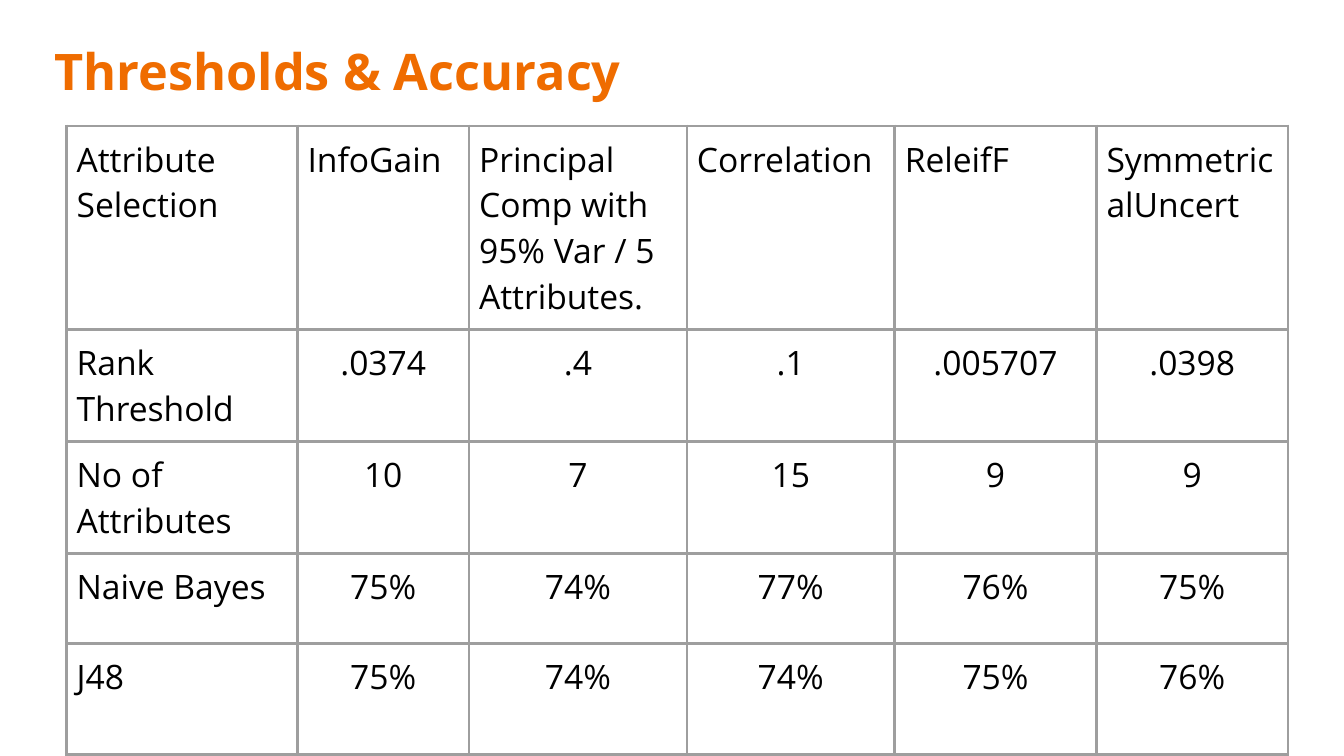
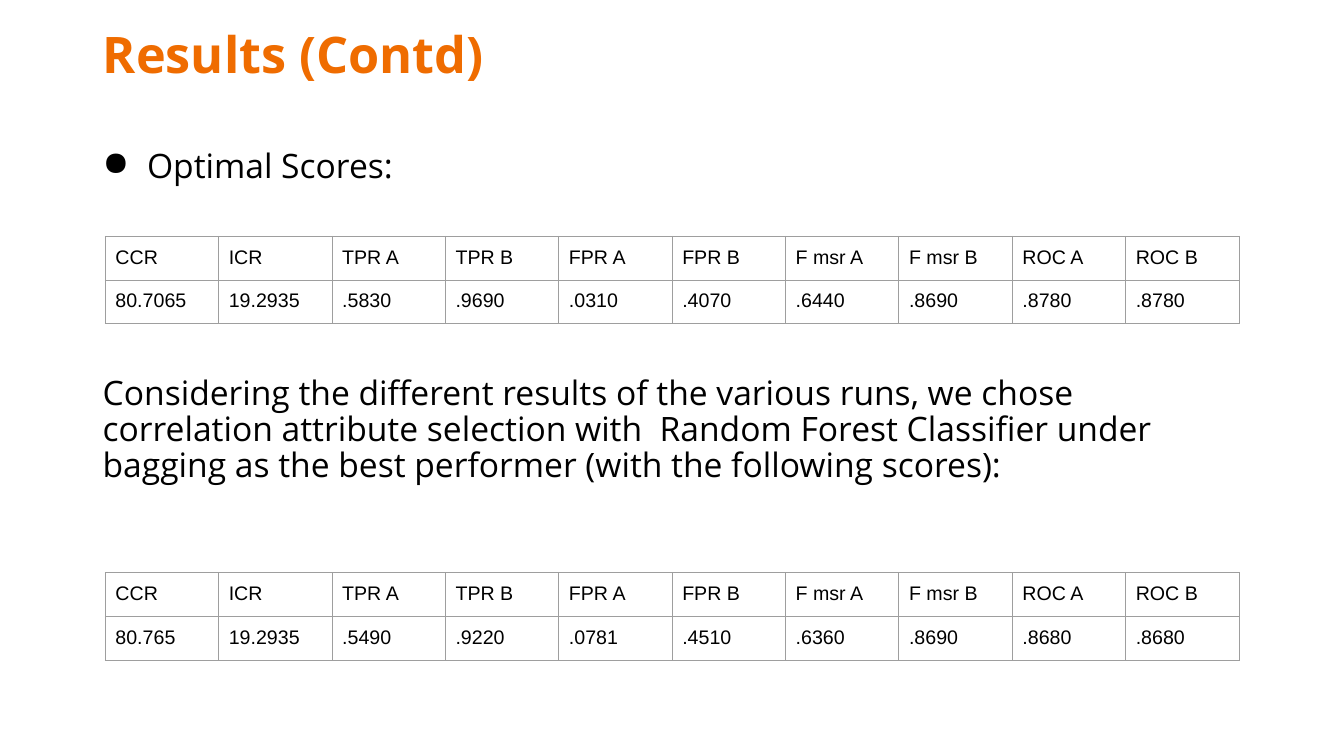
from dataclasses import dataclass

from lxml.etree import SubElement
from pptx import Presentation
from pptx.dml.color import RGBColor
from pptx.enum.text import MSO_ANCHOR, MSO_AUTO_SIZE, PP_ALIGN
from pptx.oxml.ns import qn
from pptx.util import Inches, Pt

SLIDE_WIDTH = Inches(13.33)
SLIDE_HEIGHT = Inches(7.5)
TITLE_ONLY = 5


@dataclass(frozen=True)
class Theme:
    accent: str = "EF6C00"
    ink: str = "000000"
    rule: str = "9E9E9E"
    text_font: str = "Open Sans"
    data_font: str = "Arial"
    title_size: int = 36
    body_size: int = 24
    data_size: int = 14
    cell_inset: float = 0.1
    bullet_indent: float = 0.44


THEME = Theme()
TITLE = {"name": THEME.text_font, "size": Pt(THEME.title_size), "bold": True}
BODY = {"name": THEME.text_font, "size": Pt(THEME.body_size), "bold": False}
DATA = {"name": THEME.data_font, "size": Pt(THEME.data_size), "bold": False}

ACCURACY = [
    ["Attribute Selection", "InfoGain", "Principal Comp with 95% Var / 5 Attributes.",
     "Correlation", "ReleifF", "SymmetricalUncert"],
    ["Rank Threshold", ".0374", ".4", ".1", ".005707", ".0398"],
    ["No of Attributes", "10", "7", "15", "9", "9"],
    ["Naive Bayes", "75%", "74%", "77%", "76%", "75%"],
    ["J48", "75%", "74%", "74%", "75%", "76%"],
]
ACCURACY_COLUMNS = [2.29, 1.7, 2.16, 2.06, 2, 1.9]
ACCURACY_ROWS = [2.02, 1.11, 1.11, 0.89, 1.1]

MEASURES = ["CCR", "ICR", "TPR A", "TPR B", "FPR A", "FPR B",
            "F msr A", "F msr B", "ROC A", "ROC B"]
OPTIMAL_SCORES = ["80.7065", "19.2935", ".5830", ".9690", ".0310", ".4070",
                  ".6440", ".8690", ".8780", ".8780"]
CHOSEN_SCORES = ["80.765", "19.2935", ".5490", ".9220", ".0781", ".4510",
                 ".6360", ".8690", ".8680", ".8680"]
CONCLUSION = (
    "Considering the different results of the various runs, we chose correlation "
    "attribute selection with  Random Forest Classifier under bagging as the best "
    "performer (with the following scores):"
)


def assign(target, values):
    for attribute, value in values.items():
        setattr(target, attribute, value)


def area(left, top, width, height):
    return (round(SLIDE_WIDTH * left / 100), round(SLIDE_HEIGHT * top / 100),
            round(SLIDE_WIDTH * width / 100), round(SLIDE_HEIGHT * height / 100))


def write(frame, text, style, color, align=PP_ALIGN.LEFT, spacing=None):
    paragraph = frame.paragraphs[0]
    assign(paragraph, {"alignment": align, "line_spacing": spacing})
    run = paragraph.add_run()
    run.text = text
    assign(run.font, style)
    run.font.color.rgb = RGBColor.from_string(color)
    return paragraph


def add_titled_slide(deck, text, place):
    slide = deck.slides.add_slide(deck.slide_layouts[TITLE_ONLY])
    title = slide.shapes.title
    assign(title, dict(zip(("left", "top", "width", "height"), place)))
    assign(title.text_frame, {"word_wrap": True, "auto_size": MSO_AUTO_SIZE.NONE,
                              "vertical_anchor": MSO_ANCHOR.MIDDLE})
    write(title.text_frame, text, TITLE, THEME.accent, spacing=0.9)
    return slide


def add_body(slide, text, place, spacing):
    frame = slide.shapes.add_textbox(*place).text_frame
    frame.word_wrap = True
    return write(frame, text, BODY, THEME.ink, spacing=spacing)


def add_bullet(paragraph):
    properties = paragraph._p.get_or_add_pPr()
    indent = Inches(THEME.bullet_indent)
    properties.set("marL", str(indent))
    properties.set("indent", str(-indent))
    SubElement(properties, qn("a:buChar"), char="●")


def outline_cell(cell, weight):
    properties = cell._tc.get_or_add_tcPr()
    for side in ("lnL", "lnR", "lnT", "lnB"):
        line = SubElement(properties, qn(f"a:{side}"), w=str(Pt(weight)))
        fill = SubElement(line, qn("a:solidFill"))
        SubElement(fill, qn("a:srgbClr"), val=THEME.rule)
    cell.fill.background()


def share_out(total, weights):
    return [round(total * weight / sum(weights)) for weight in weights]


def add_grid(slide, records, place, columns, rows, style, weight, value_align):
    grid = slide.shapes.add_table(len(rows), len(columns), *place).table
    assign(grid, {"first_row": False, "horz_banding": False})
    for column, width in zip(grid.columns, share_out(place[2], columns)):
        column.width = width
    for row, height in zip(grid.rows, share_out(place[3], rows)):
        row.height = height
    inset = Inches(THEME.cell_inset)
    margins = {f"margin_{side}": inset for side in ("left", "right", "top", "bottom")}
    for row, record in enumerate(records):
        for column, text in enumerate(record):
            cell = grid.cell(row, column)
            assign(cell, margins)
            outline_cell(cell, weight)
            align = value_align if row and column else PP_ALIGN.LEFT
            write(cell.text_frame, text, style, THEME.ink, align)


def add_scores(slide, scores, top):
    add_grid(slide, [MEASURES, scores], area(7.84, top, 84.36, 11.2),
             [1] * len(MEASURES), [1, 1], DATA, 0.75, PP_ALIGN.LEFT)


def build_thresholds(deck):
    slide = add_titled_slide(deck, "Thresholds & Accuracy", area(3.3, 2.8, 89.8, 14))
    add_grid(slide, ACCURACY, area(4.95, 16.67, 90.9, 83.07),
             ACCURACY_COLUMNS, ACCURACY_ROWS, BODY, 2.25, PP_ALIGN.CENTER)


def build_results(deck):
    slide = add_titled_slide(deck, "Results (Contd)", area(6.9, 3.07, 86.25, 9.07))
    add_bullet(add_body(slide, "Optimal Scores:", area(6.9, 18.13, 86.25, 8), 1.08))
    add_scores(slide, OPTIMAL_SCORES, 31.25)
    add_body(slide, CONCLUSION, area(6.9, 49.1, 86.25, 18), 0.9)
    add_scores(slide, CHOSEN_SCORES, 75.75)


def main():
    deck = Presentation()
    assign(deck, {"slide_width": SLIDE_WIDTH, "slide_height": SLIDE_HEIGHT})
    build_thresholds(deck)
    build_results(deck)
    deck.save("out.pptx")


if __name__ == "__main__":
    main()
